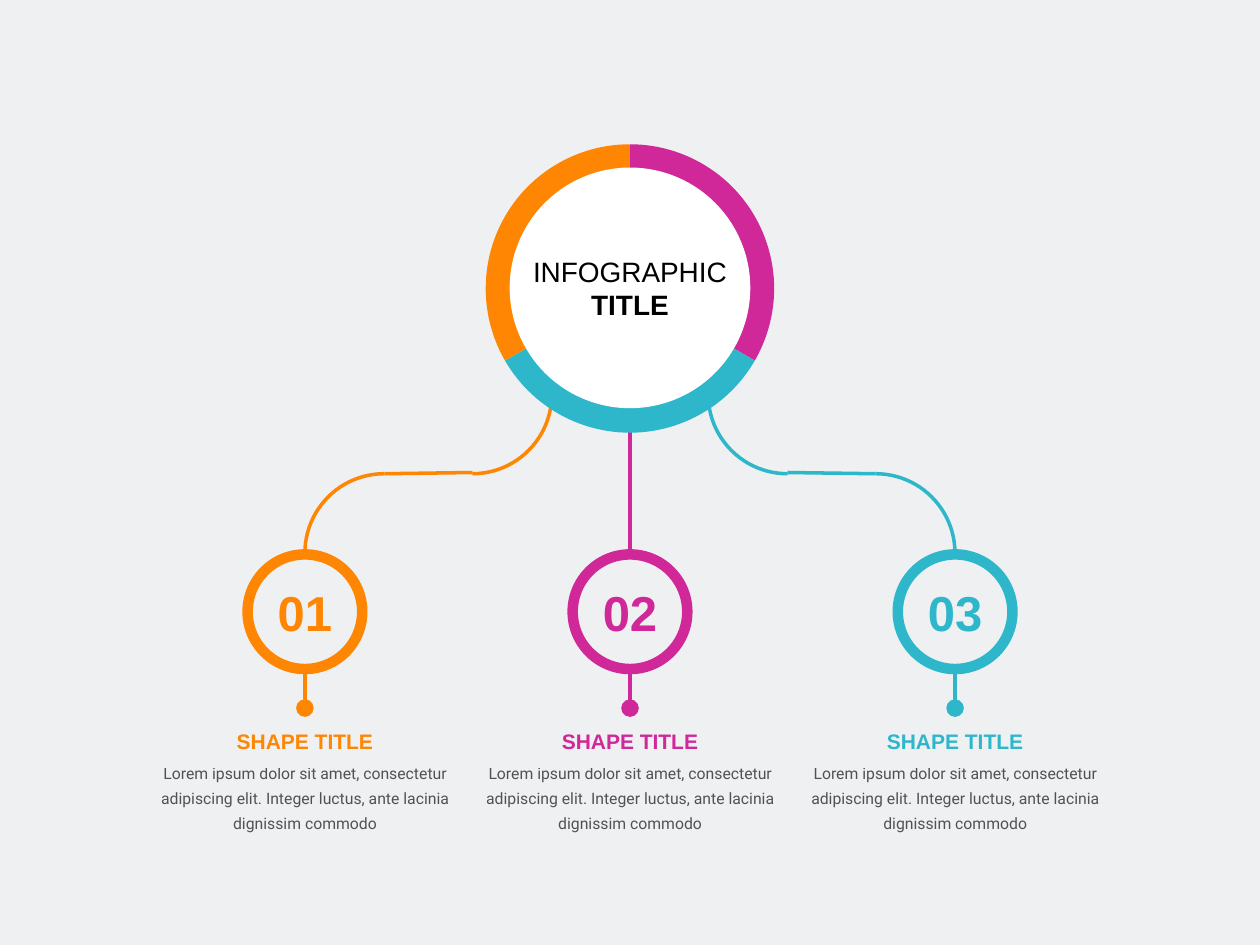
from lxml import etree
from pptx import Presentation
from pptx.chart.data import CategoryChartData
from pptx.dml.color import RGBColor
from pptx.enum.chart import XL_CHART_TYPE
from pptx.enum.shapes import MSO_CONNECTOR, MSO_SHAPE
from pptx.enum.text import MSO_ANCHOR, MSO_AUTO_SIZE, PP_ALIGN
from pptx.oxml.ns import qn
from pptx.util import Inches, Pt

PIE = XL_CHART_TYPE.PIE
STRAIGHT = MSO_CONNECTOR.STRAIGHT
ELLIPSE, ARC = MSO_SHAPE.OVAL, MSO_SHAPE.ARC
TOP, MIDDLE = MSO_ANCHOR.TOP, MSO_ANCHOR.MIDDLE
NO_FIT, GROW = MSO_AUTO_SIZE.NONE, MSO_AUTO_SIZE.SHAPE_TO_FIT_TEXT
CENTER = PP_ALIGN.CENTER

COLORS = {"background": "EEF0F2", "orange": "FF8603", "magenta": "D02899",
          "teal": "2EB7CA", "white": "FFFFFF", "black": "000000"}
WIDTH, HEIGHT = 10, 7.5
MIDDLE_X = WIDTH / 2
PITCH = 2.58
HUB_Y = 2.29
HUB_DIAMETER = 2.29
BRANCH_Y = 3.76
ARC_SIZE = 1.26
BADGE_SIZE, BADGE_TOP = 0.91, 4.4
TEXT_WIDTH = 2.39
DESCRIPTION = ("Lorem ipsum dolor sit amet, consectetur adipiscing elit. "
               "Integer luctus, ante lacinia dignissim commodo")
STEPS = [("01", "orange"), ("02", "magenta"), ("03", "teal")]


def rgb(name):
    return RGBColor.from_string(COLORS[name])


def centered_box(center, top, width, height):
    return [Inches(v) for v in (center - width / 2, top, width, height)]


def set_outline(shape, color, weight):
    shape.line.color.rgb = rgb(color)
    shape.line.width = Pt(weight)


def format_text(frame, size, color, font="Arial", bold=None, anchor=MIDDLE,
                top_inset=0, fit=NO_FIT):
    frame.word_wrap = True
    frame.auto_size = fit
    frame.vertical_anchor = anchor
    frame.margin_left = frame.margin_right = frame.margin_bottom = 0
    frame.margin_top = Inches(top_inset)
    paragraph = frame.paragraphs[0]
    paragraph.alignment = CENTER
    paragraph.font.name = font
    paragraph.font.size = Pt(size)
    paragraph.font.bold = bold
    paragraph.font.color.rgb = rgb(color)
    return paragraph


def add_text(slide, box, text, **style):
    frame = slide.shapes.add_textbox(*box).text_frame
    frame.text = text
    return format_text(frame, **style)


def add_line(slide, start, end, color, dot=False):
    line = slide.shapes.add_connector(
        STRAIGHT, *[Inches(v) for v in (*start, *end)])
    set_outline(line, color, 2)
    if dot:
        etree.SubElement(line.line._get_or_add_ln(), qn("a:tailEnd"),
                         type="oval", w="lg", len="lg")
    etree.SubElement(line._element.spPr, qn("a:effectLst"))


def add_circle(slide, box, fill=None, outline=None):
    circle = slide.shapes.add_shape(ELLIPSE, *box)
    circle.shadow.inherit = False
    if fill:
        circle.fill.solid()
        circle.fill.fore_color.rgb = rgb(fill)
    else:
        circle.fill.background()
    if outline:
        set_outline(circle, outline, 6)
    else:
        circle.line.fill.background()
    return circle


def add_arc(slide, center, top, color, flipped, rotation=0):
    arc = slide.shapes.add_shape(
        ARC, *centered_box(center, top, ARC_SIZE, ARC_SIZE))
    arc.shadow.inherit = False
    arc.fill.background()
    set_outline(arc, color, 2)
    arc.rotation = rotation
    if flipped:
        arc._element.spPr.find(qn("a:xfrm")).set("flipH", "1")


def add_branch(slide, side, color):
    inner, outer = MIDDLE_X + side * 1.25, MIDDLE_X + side * 1.95
    add_arc(slide, outer, BRANCH_Y, color, side < 0)
    add_arc(slide, inner, BRANCH_Y - ARC_SIZE, color, side < 0, 180)
    add_line(slide, (inner, BRANCH_Y - 0.01), (outer, BRANCH_Y), color)


def add_step(slide, center, number, color):
    badge = add_circle(slide, centered_box(center, BADGE_TOP, BADGE_SIZE, BADGE_SIZE),
                       outline=color)
    badge.text_frame.text = number
    format_text(badge.text_frame, 28, color, bold=True)
    description = add_text(slide, centered_box(center, 6.02, TEXT_WIDTH, 0.5),
                           DESCRIPTION, size=9, color="black", font="Roboto",
                           anchor=TOP, fit=GROW)
    description.line_spacing = 1.3
    for tint in description._p.iter(qn("a:srgbClr")):
        etree.SubElement(tint, qn("a:alpha"), val="65000")
    add_text(slide, centered_box(center, 5.62, TEXT_WIDTH, 0.36), "SHAPE TITLE",
             size=12, color=color, bold=True, top_inset=0.16, fit=GROW)
    add_line(slide, (center, 5.3), (center, 5.62), color, dot=True)


def add_ring(slide):
    width, height = 2.84, 2.57
    data = CategoryChartData()
    data.categories = ["1", "2", "3"]
    data.add_series("Series 1", [33, 33, 33])
    chart = slide.shapes.add_chart(
        PIE, *centered_box(MIDDLE_X, HUB_Y - height / 2, width, height), data).chart
    chart.has_legend = chart.has_title = False
    chart.font.name = "Arial"
    chart.font.size = Pt(10)
    chart.font.color.rgb = rgb("black")
    plot = chart.plots[0]
    plot.vary_by_categories = False
    for index, color in enumerate(("magenta", "teal", "orange")):
        slice_format = plot.series[0].points[index].format
        slice_format.fill.solid()
        slice_format.fill.fore_color.rgb = rgb(color)
        slice_format.line.fill.background()

    plot_area = chart._chartSpace.chart.plotArea
    for automatic in plot_area.findall(qn("c:layout")):
        plot_area.remove(automatic)
    layout = etree.Element(qn("c:layout"))
    plot_area.insert(0, layout)
    manual = etree.SubElement(layout, qn("c:manualLayout"))
    share_x, share_y = HUB_DIAMETER / width, HUB_DIAMETER / height
    for tag, value in (("layoutTarget", "inner"), ("xMode", "edge"), ("yMode", "edge"),
                       ("x", (1 - share_x) / 2), ("y", (1 - share_y) / 2),
                       ("w", share_x), ("h", share_y)):
        etree.SubElement(manual, qn("c:" + tag), val=str(value))


def place_title(slide):
    title = slide.shapes.title
    title.left, title.top, title.width, title.height = centered_box(
        MIDDLE_X, 2.03, 1.84, 0.51)
    paragraph = format_text(title.text_frame, 16, "black")
    paragraph.add_run().text = "INFOGRAPHIC"
    emphasis = paragraph.add_run()
    emphasis.text = " TITLE"
    emphasis.font.bold = True
    slide.shapes._spTree.append(title._element)


def main():
    deck = Presentation()
    deck.slide_width, deck.slide_height = Inches(WIDTH), Inches(HEIGHT)
    slide = deck.slides.add_slide(deck.slide_layouts[5])
    slide.background.fill.solid()
    slide.background.fill.fore_color.rgb = rgb("background")
    for column, (number, color) in enumerate(STEPS):
        add_step(slide, MIDDLE_X + (column - 1) * PITCH, number, color)
    add_branch(slide, -1, "orange")
    add_branch(slide, 1, "teal")
    add_line(slide, (MIDDLE_X, 3.24), (MIDDLE_X, BADGE_TOP), "magenta")
    add_ring(slide)
    add_circle(slide, centered_box(MIDDLE_X, 1.33, 1.91, 1.91), fill="white")
    place_title(slide)
    deck.save("out.pptx")


main()
